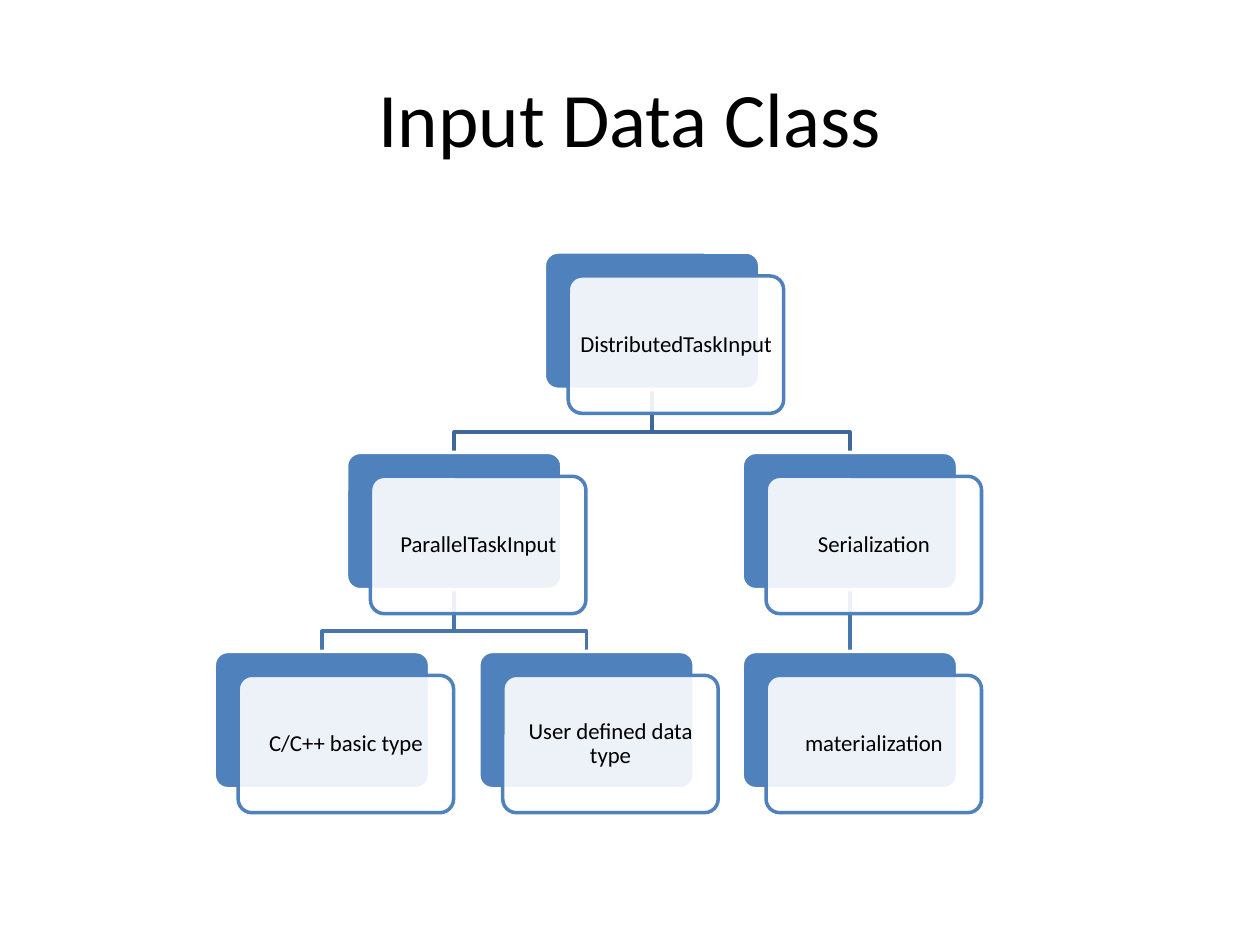
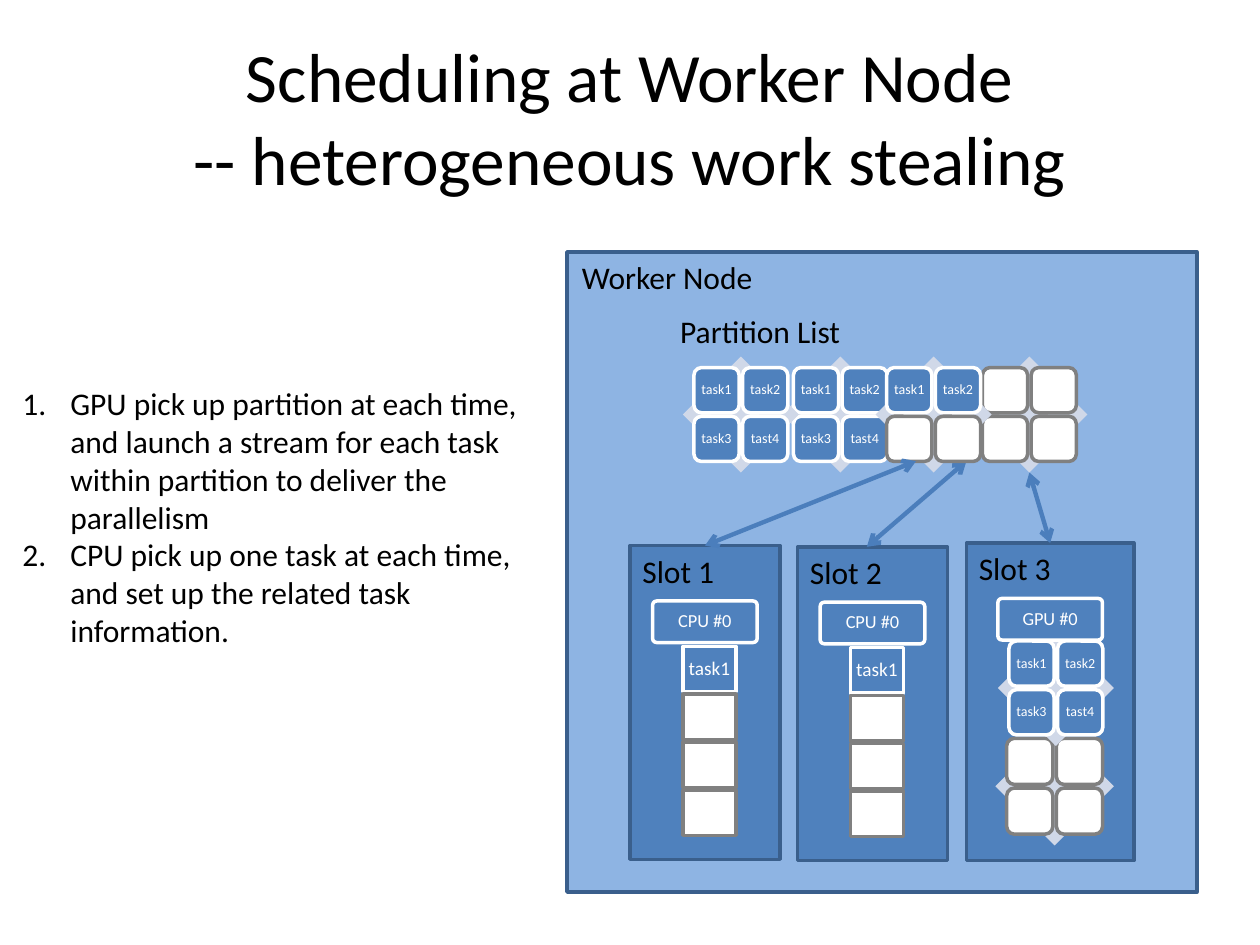
from dataclasses import dataclass

from pptx import Presentation
from pptx.dml.color import RGBColor
from pptx.enum.shapes import MSO_CONNECTOR, MSO_SHAPE
from pptx.enum.text import MSO_ANCHOR, PP_ALIGN
from pptx.oxml.ns import qn
from pptx.util import Inches, Pt
from lxml.etree import SubElement

FONT = "Calibri"
BLACK = RGBColor(0x00, 0x00, 0x00)
WHITE = RGBColor(0xFF, 0xFF, 0xFF)
GRAY = RGBColor(0x80, 0x80, 0x80)
BLUE = RGBColor(0x4F, 0x81, 0xBD)
LIGHT_BLUE = RGBColor(0x8E, 0xB4, 0xE3)
PALE_BLUE = RGBColor(0xD0, 0xD8, 0xE8)
OUTLINE = RGBColor(0x3A, 0x5F, 0x8C)
ARROW = RGBColor(0x4B, 0x7E, 0xBC)
BRANCH_TOP = RGBColor(0x3F, 0x67, 0x97)
BRANCH_LOW = RGBColor(0x48, 0x75, 0xAC)

CARD_W, CARD_H, CARD_SHIFT = 1.71, 1.09, 0.19
DEVICE_W, DEVICE_H = 0.83, 0.33
QUEUE_W, QUEUE_H, QUEUE_PITCH, QUEUE_LEN = 0.42, 0.36, 0.38, 4


@dataclass(frozen=True)
class Card:
    text: str
    left: float
    top: float

    @property
    def middle(self) -> float:
        return self.left + CARD_W / 2

    @property
    def bottom(self) -> float:
        return self.top + CARD_H


@dataclass(frozen=True)
class Grid:
    left: float
    top: float
    size: float
    tasks: tuple[str, ...]


@dataclass(frozen=True)
class Slot:
    name: str
    device: str
    left: float
    top: float
    width: float
    height: float
    grids: tuple[Grid, ...] = ()


FULL = ("task1", "task2", "task3", "tast4")
HALF = ("task1", "task2", "", "")
IDLE = ("",) * 4

ROOT = Card("DistributedTaskInput", 4.32, 2)
PARALLEL = Card("ParallelTaskInput", 2.75, 3.59)
SERIAL = Card("Serialization", 5.89, 3.59)
BASIC = Card("C/C++ basic type", 1.7, 5.17)
USER = Card("User defined data type", 3.8, 5.17)
MATERIAL = Card("materialization", 5.89, 5.17)
CARDS = (ROOT, PARALLEL, BASIC, USER, SERIAL, MATERIAL)
BRANCHES = (
    (ROOT, SERIAL, BRANCH_TOP),
    (PARALLEL, USER, BRANCH_LOW),
    (PARALLEL, BASIC, BRANCH_LOW),
    (ROOT, PARALLEL, BRANCH_TOP),
)

SLOTS = (
    Slot("Slot 3", "GPU #0", 7.67, 4.31, 1.33, 2.52,
         (Grid(7.9, 5.77, 0.94, IDLE), Grid(7.92, 5, 0.92, FULL))),
    Slot("Slot 2", "CPU #0", 6.33, 4.34, 1.19, 2.49),
    Slot("Slot 1", "CPU #0", 5, 4.33, 1.19, 2.49),
)
PARTITIONS = tuple(
    Grid(left, 2.83, 0.92, tasks)
    for left, tasks in ((5.42, FULL), (6.21, FULL), (6.95, HALF), (7.71, IDLE))
)
STEPS = (
    "GPU pick up partition at each time, and launch a stream for each task "
    "within partition to deliver the parallelism",
    "CPU pick up one task at each time, and set up the related task information.",
)


def add_run(p, text: str, size: float, color: RGBColor = BLACK) -> None:
    r = p.add_run()
    r.text = text
    r.font.name, r.font.size, r.font.color.rgb = FONT, Pt(size), color


def add_box(s, kind, left: float, top: float, width: float, height: float,
            fill: RGBColor, line: RGBColor | None = None, adj: float | None = None):
    sp = s.shapes.add_shape(kind, Inches(left), Inches(top), Inches(width), Inches(height))
    sp.shadow.inherit = False
    sp.fill.solid()
    sp.fill.fore_color.rgb = fill
    if line is None:
        sp.line.fill.background()
    else:
        sp.line.color.rgb = line
        sp.line.width = Pt(2)
    if adj is not None:
        sp.adjustments[0] = adj
    return sp


def set_caption(sp, text: str, size: float, color: RGBColor, inset: float) -> None:
    tf = sp.text_frame
    tf.word_wrap = True
    tf.vertical_anchor = MSO_ANCHOR.MIDDLE
    tf.margin_left = tf.margin_right = tf.margin_top = tf.margin_bottom = Inches(inset)
    p = tf.paragraphs[0]
    p.alignment = PP_ALIGN.CENTER
    p.line_spacing = 0.9
    add_run(p, text, size, color)


def add_text_frame(s, left: float, top: float, width: float, height: float):
    sp = s.shapes.add_textbox(Inches(left), Inches(top), Inches(width), Inches(height))
    sp.text_frame.word_wrap = True
    return sp.text_frame


def add_label(s, text: str, left: float, top: float, width: float) -> None:
    tf = add_text_frame(s, left, top, width, 0.4)
    add_run(tf.paragraphs[0], text, 18)


def add_title(s, size: float, *lines: str) -> None:
    tf = add_text_frame(s, 0.5, 0.3, 9, 1.25)
    tf.vertical_anchor = MSO_ANCHOR.MIDDLE
    p = tf.paragraphs[0]
    p.alignment = PP_ALIGN.CENTER
    for i, line in enumerate(lines):
        if i:
            p.add_line_break()
        add_run(p, line, size)


def add_line(s, start: tuple[float, float], end: tuple[float, float],
             color: RGBColor, width: float):
    c = s.shapes.add_connector(MSO_CONNECTOR.STRAIGHT, *map(Inches, start + end))
    c.line.color.rgb = color
    c.line.width = Pt(width)
    SubElement(c._element.spPr, qn("a:effectLst"))
    return c


def add_arrow(s, start: tuple[float, float], end: tuple[float, float]):
    c = add_line(s, start, end, ARROW, 2.5)
    ln = c.line._get_or_add_ln()
    for tag in ("a:headEnd", "a:tailEnd"):
        SubElement(ln, qn(tag), type="arrow")
    return c


def add_branch(s, parent: Card, child: Card, color: RGBColor) -> None:
    turn = child.top - 0.16
    points = [(parent.middle, turn), (child.middle, turn), (child.middle, child.top)]
    builder = s.shapes.build_freeform(Inches(parent.middle), Inches(parent.bottom))
    builder.add_line_segments([(Inches(x), Inches(y)) for x, y in points], close=False)
    sp = builder.convert_to_shape()
    sp.shadow.inherit = False
    sp.fill.background()
    sp.line.color.rgb = color
    sp.line.width = Pt(2)


def add_card(s, card: Card):
    back = add_box(s, MSO_SHAPE.ROUNDED_RECTANGLE, card.left, card.top,
                   CARD_W, CARD_H, BLUE, WHITE, 0.1)
    front = add_box(s, MSO_SHAPE.ROUNDED_RECTANGLE, card.left + CARD_SHIFT,
                    card.top + CARD_SHIFT, CARD_W, CARD_H, WHITE, BLUE, 0.1)
    rgb = front._element.spPr.find(qn("a:solidFill")).find(qn("a:srgbClr"))
    SubElement(rgb, qn("a:alpha"), val="90000")
    set_caption(front, card.text, 13, BLACK, 0.05)
    return back


def add_task(s, kind, task: str, left: float, top: float, width: float,
             height: float, size: float) -> None:
    fill, line = (BLUE, WHITE) if task else (WHITE, GRAY)
    sp = add_box(s, kind, left, top, width, height, fill, line)
    if task:
        set_caption(sp, task, size, WHITE, 0.03)


def add_grid(s, grid: Grid):
    diamond = add_box(s, MSO_SHAPE.DIAMOND, grid.left, grid.top, grid.size, grid.size, PALE_BLUE)
    cell = 0.39 * grid.size
    for i, task in enumerate(grid.tasks):
        row, col = divmod(i, 2)
        add_task(s, MSO_SHAPE.ROUNDED_RECTANGLE, task,
                 grid.left + (0.095 + 0.42 * col) * grid.size,
                 grid.top + (0.095 + 0.42 * row) * grid.size, cell, cell, 8)
    return diamond


def add_slot(s, slot: Slot):
    box = add_box(s, MSO_SHAPE.RECTANGLE, slot.left, slot.top, slot.width, slot.height,
                  BLUE, OUTLINE)
    add_label(s, slot.name, slot.left, slot.top, 1.1)
    for grid in slot.grids:
        add_grid(s, grid)
    device = add_box(s, MSO_SHAPE.ROUNDED_RECTANGLE, slot.left + (slot.width - DEVICE_W) / 2,
                     slot.top + 0.44, DEVICE_W, DEVICE_H, BLUE, WHITE, 0.1)
    set_caption(device, slot.device, 10.5, WHITE, 0.02)
    if not slot.grids:
        for i in range(QUEUE_LEN):
            add_task(s, MSO_SHAPE.RECTANGLE, "" if i else "task1", slot.left + 0.42,
                     slot.top + 0.8 + i * QUEUE_PITCH, QUEUE_W, QUEUE_H, 11)
    return box


def add_steps(s) -> None:
    tf = add_text_frame(s, 0.08, 3, 4.42, 2.22)
    for i, step in enumerate(STEPS):
        p = tf.add_paragraph() if i else tf.paragraphs[0]
        pPr = p._p.get_or_add_pPr()
        pPr.set("marL", str(Inches(0.38)))
        pPr.set("indent", str(-Inches(0.38)))
        SubElement(pPr, qn("a:buFont"), typeface="+mj-lt")
        SubElement(pPr, qn("a:buAutoNum"), type="arabicPeriod")
        add_run(p, step, 18)


def build_class_tree(s) -> None:
    add_title(s, 44, "Input Data Class")
    link = add_line(s, (SERIAL.middle, SERIAL.bottom), (MATERIAL.middle, MATERIAL.top),
                    BRANCH_LOW, 2)
    for branch in BRANCHES:
        add_branch(s, *branch)
    backs = {card: add_card(s, card) for card in CARDS}
    link.begin_connect(backs[SERIAL], 2)
    link.end_connect(backs[MATERIAL], 0)


def build_scheduling(s) -> None:
    add_title(s, 39.6, "Scheduling at Worker Node", "-- heterogeneous work stealing")
    add_box(s, MSO_SHAPE.RECTANGLE, 4.5, 2, 5, 5.08, LIGHT_BLUE, OUTLINE)
    add_label(s, "Worker Node", 4.52, 2, 2.04)
    add_label(s, "Partition List", 5.3, 2.43, 2.04)
    slot3, _, slot1 = [add_slot(s, slot) for slot in SLOTS]
    first, second, third, fourth = PARTITIONS
    last_diamond = add_grid(s, fourth)
    add_grid(s, second)
    add_grid(s, first)
    add_arrow(s, (7.67, 3.66), (6.88, 4.34))
    gpu_arrow = add_arrow(s, (8.17, 3.75), (8.33, 4.31))
    gpu_arrow.begin_connect(last_diamond, 2)
    gpu_arrow.end_connect(slot3, 0)
    add_grid(s, third)
    add_arrow(s, (7.27, 3.66), (5.6, 4.33)).end_connect(slot1, 0)
    add_steps(s)


def main() -> None:
    prs = Presentation()
    prs.slide_width, prs.slide_height = Inches(10), Inches(7.5)
    for build in (build_class_tree, build_scheduling):
        build(prs.slides.add_slide(prs.slide_layouts[6]))
    prs.save("out.pptx")


if __name__ == "__main__":
    main()
